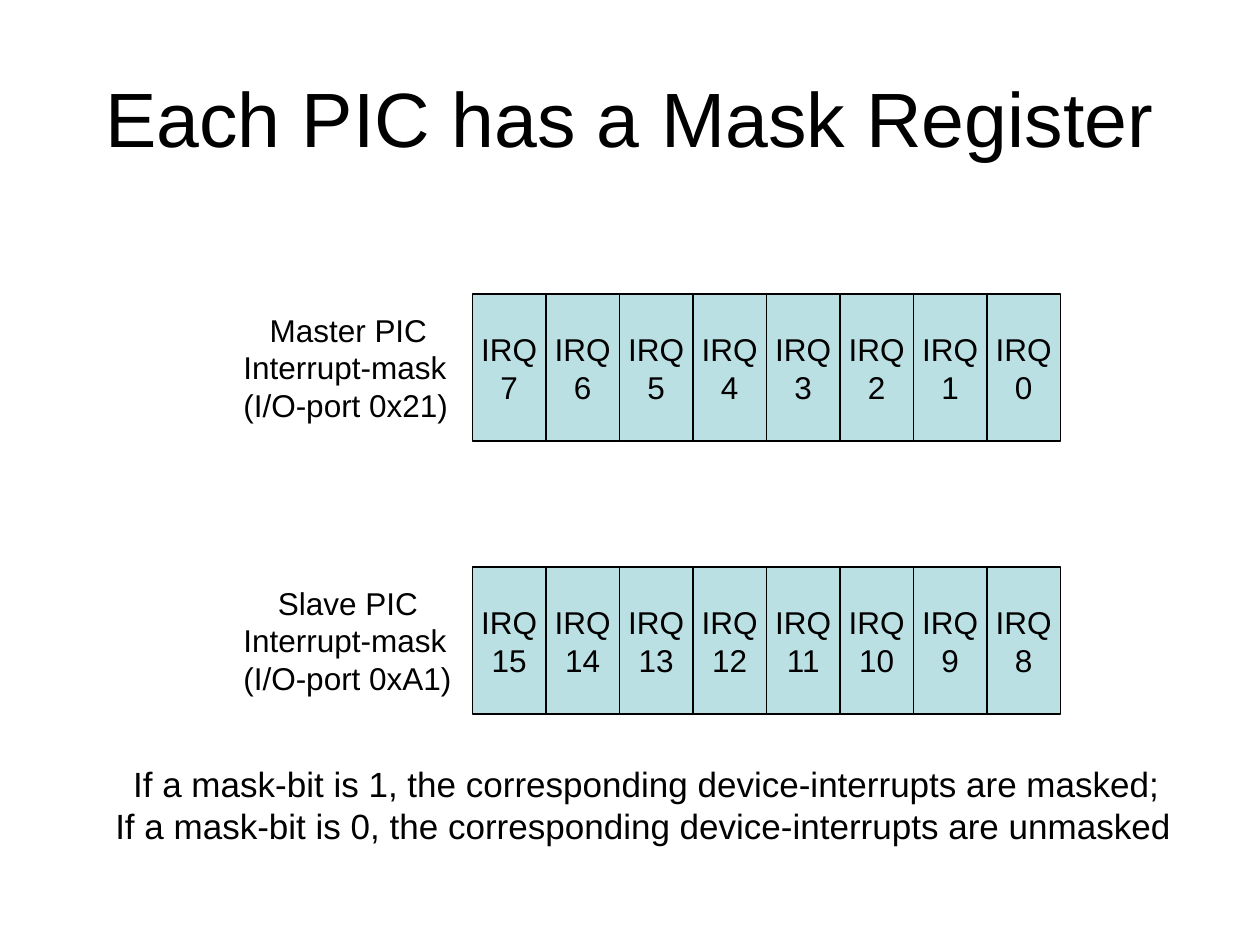
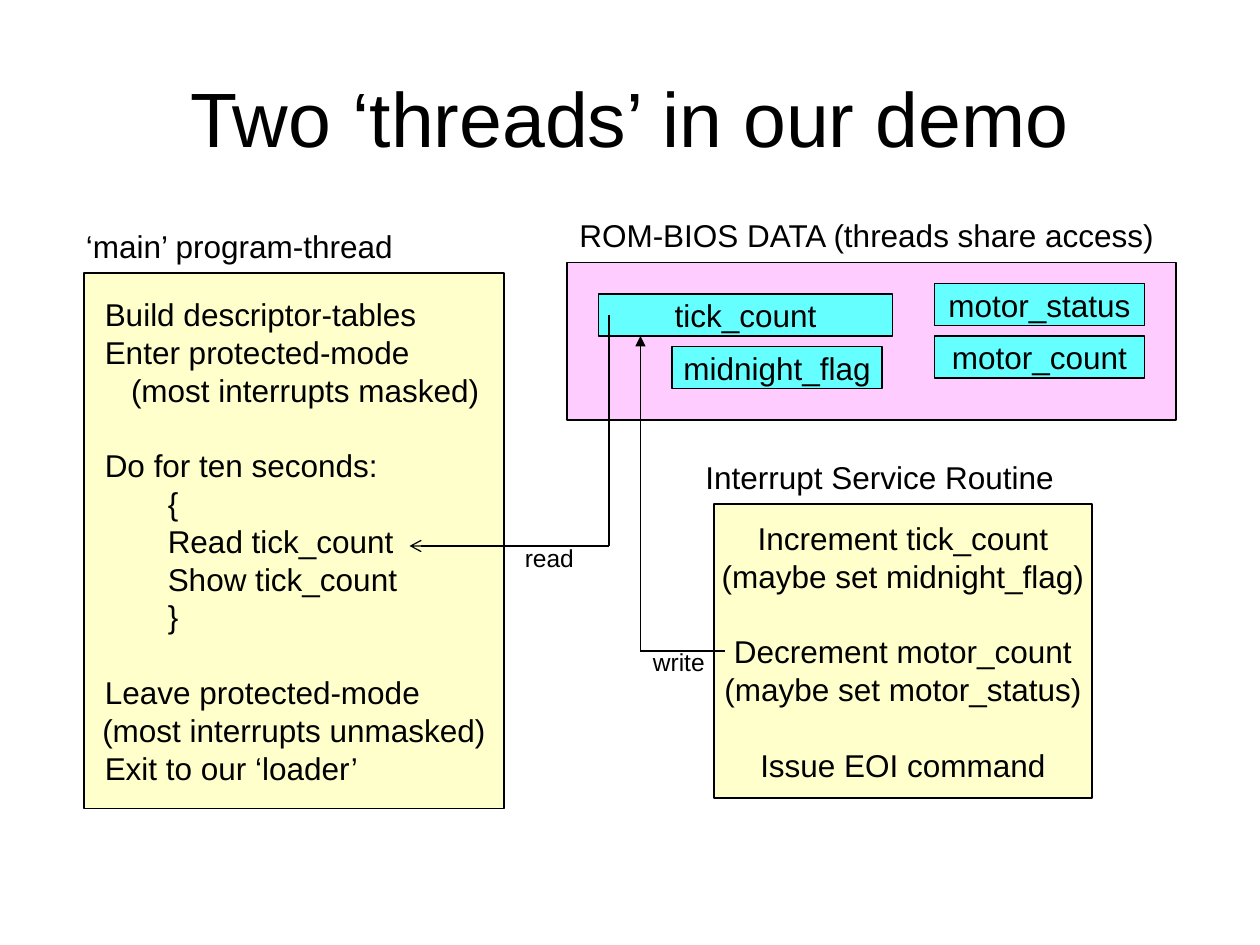
from lxml import etree
from pptx import Presentation
from pptx.dml.color import RGBColor
from pptx.enum.shapes import MSO_CONNECTOR, MSO_SHAPE
from pptx.enum.text import MSO_ANCHOR, PP_ALIGN
from pptx.oxml.ns import qn
from pptx.util import Inches, Pt

RECTANGLE = MSO_SHAPE.RECTANGLE
STRAIGHT = MSO_CONNECTOR.STRAIGHT
TOP, MIDDLE = MSO_ANCHOR.TOP, MSO_ANCHOR.MIDDLE
LEFT, CENTER = PP_ALIGN.LEFT, PP_ALIGN.CENTER

BLACK = RGBColor(0x00, 0x00, 0x00)
BIT_BLUE = RGBColor(0xBB, 0xE0, 0xE3)
CODE_YELLOW = RGBColor(0xFF, 0xFF, 0xCC)
DATA_PINK = RGBColor(0xFF, 0xCC, 0xFF)
VARIABLE_CYAN = RGBColor(0x66, 0xFF, 0xFF)

FONT = "Arial"
TITLE_SIZE, NOTE_SIZE, BODY_SIZE, CAPTION_SIZE = 44, 20, 18, 14
LINE_HEIGHT = 1.2
LINE_WIDTH = Pt(0.75)

# The slide is a grid of 120 columns and 90 rows; all boxes are given in cells.
CELLS_PER_INCH = 12
TITLE_BOX = (6, 3.6, 108, 15)
BITS = 8
BIT_COLUMNS = 7
LABEL_COLUMNS = 23
HEADING_ROWS = 5


def cells(*counts):
    return [Inches(count / CELLS_PER_INCH) for count in counts]


def write(shape, lines, size=BODY_SIZE, align=CENTER, anchor=MIDDLE, wrap=False):
    """Fill a shape with lines: text, or (text, indent in columns, gap in lines, alignment)."""
    frame = shape.text_frame
    settings = {"word_wrap": wrap, "vertical_anchor": anchor}
    for name, value in settings.items():
        setattr(frame, name, value)
    for index, line in enumerate(lines):
        text, indent, gap, line_align = (line, 0, 0, align) if isinstance(line, str) else line
        paragraph = frame.add_paragraph() if index else frame.paragraphs[0]
        paragraph.alignment = line_align
        paragraph.space_before = Pt(gap * size * LINE_HEIGHT)
        if indent:
            paragraph._p.get_or_add_pPr().set("marL", str(cells(indent)[0]))
        run = paragraph.add_run()
        run.text = text
        for name, value in {"name": FONT, "size": Pt(size)}.items():
            setattr(run.font, name, value)
        run.font.color.rgb = BLACK


def add_text(slide, box, lines, size=BODY_SIZE, align=LEFT, anchor=TOP, wrap=False):
    write(slide.shapes.add_textbox(*cells(*box)), lines, size, align, anchor, wrap)


def add_block(slide, box, fill, lines=(), wrap=False):
    block = slide.shapes.add_shape(RECTANGLE, *cells(*box))
    block.shadow.inherit = False
    block.fill.solid()
    block.fill.fore_color.rgb = fill
    block.line.color.rgb = BLACK
    block.line.width = LINE_WIDTH
    write(block, lines, wrap=wrap)


def add_path(slide, points, arrowhead_at):
    """Join the points with straight lines; an arrowhead style marks the given point."""
    target, style = arrowhead_at
    for start, end in zip(points, points[1:]):
        segment = slide.shapes.add_connector(STRAIGHT, *cells(*start, *end))
        segment.line.color.rgb = BLACK
        segment.line.width = LINE_WIDTH
        if end == target:
            etree.SubElement(segment.line._get_or_add_ln(), qn("a:tailEnd"), type=style)
        etree.SubElement(segment._element.spPr, qn("a:effectLst"))


def add_titled_slide(deck, title):
    slide = deck.slides.add_slide(deck.slide_layouts[6])
    add_text(slide, TITLE_BOX, [title], TITLE_SIZE, CENTER, MIDDLE, wrap=True)
    return slide


def mask_register(slide, box, label, highest_irq):
    left, top, _, height = box
    for bit in range(BITS):
        bit_left = left + LABEL_COLUMNS + bit * BIT_COLUMNS
        add_block(slide, (bit_left, top, BIT_COLUMNS, height), BIT_BLUE,
                  ["IRQ", str(highest_irq - bit)])
    add_text(slide, (left, top + 1, LABEL_COLUMNS, height - 2), label)


def panel(slide, box, fill, heading, heading_shift, heading_columns, lines=(), wrap=False):
    """Draw a filled box with a heading above it."""
    left, top, _, _ = box
    add_block(slide, box, fill, lines, wrap)
    add_text(slide, (left + heading_shift, top - HEADING_ROWS, heading_columns, HEADING_ROWS),
             [heading])


def shared_data(slide, box):
    left, top, _, _ = box
    panel(slide, box, DATA_PINK, "ROM-BIOS DATA (threads share access)", 0, 59)
    variables = [("tick_count", 3, 3, 28), ("motor_status", 35, 2, 20),
                 ("motor_count", 35, 7, 20), ("midnight_flag", 10, 8, 20)]
    for name, column, row, columns in variables:
        add_block(slide, (left + column, top + row, columns, 4), VARIABLE_CYAN, [name])


def main_thread(slide, box):
    step, note, loop = 0.8, 3.3, 6.8
    lines = [
        ("Build descriptor-tables", step, 0, LEFT),
        ("Enter protected-mode", step, 0, LEFT),
        ("(most interrupts masked)", note, 0, LEFT),
        ("Do for ten seconds:", step, 1, LEFT),
        ("{", loop, 0, LEFT),
        ("Read tick_count", loop, 0, LEFT),
        ("Show tick_count", loop, 0, LEFT),
        ("}", loop, 0, LEFT),
        ("Leave protected-mode", step, 1, LEFT),
        ("(most interrupts unmasked)", 0, 0, CENTER),
        ("Exit to our ‘loader’", step, 0, LEFT),
    ]
    panel(slide, box, CODE_YELLOW, "‘main’ program-thread", -1, 33, lines, wrap=True)


def service_routine(slide, box):
    lines = [
        "Increment tick_count",
        "(maybe set midnight_flag)",
        ("Decrement motor_count", 0, 1, CENTER),
        "(maybe set motor_status)",
        ("Issue EOI command", 0, 1, CENTER),
    ]
    panel(slide, box, CODE_YELLOW, "Interrupt Service Routine", -2, 38, lines)


def data_access(slide):
    """Show the main thread reading and the service routine writing tick_count."""
    reader, writer_target = (39, 52), (61, 32)
    add_path(slide, [(58, 30), (58, 52), reader], (reader, "arrow"))
    add_path(slide, [(69, 62), (61, 62), writer_target], (writer_target, "triangle"))
    add_text(slide, (48.8, 51.1, 8, 4.1), ["read"], CAPTION_SIZE)
    add_text(slide, (61, 61, 8, 4.1), ["write"], CAPTION_SIZE)


def mask_register_slide(deck):
    slide = add_titled_slide(deck, "Each PIC has a Mask Register")
    registers = [("Master PIC", 2.5, "0x21", 7), ("Slave PIC", 3.3, "0xA1", 15)]
    for index, (chip, indent, port, highest_irq) in enumerate(registers):
        label = [(chip, indent, 0, LEFT), "Interrupt-mask", f"(I/O-port {port})"]
        mask_register(slide, (22, 28 + 26 * index, 79, 14), label, highest_irq)
    rules = [
        ("If a mask-bit is 1, the corresponding device-interrupts are masked;", 1.7, 0, LEFT),
        "If a mask-bit is 0, the corresponding device-interrupts are unmasked",
    ]
    add_text(slide, (9.8, 72, 106, 9.2), rules, NOTE_SIZE)


def threads_slide(deck):
    slide = add_titled_slide(deck, "Two ‘threads’ in our demo")
    main_thread(slide, (8, 26, 40, 51))
    shared_data(slide, (54, 25, 58, 15))
    service_routine(slide, (68, 48, 36, 28))
    data_access(slide)


def main():
    deck = Presentation()
    deck.slide_width, deck.slide_height = cells(120, 90)
    mask_register_slide(deck)
    threads_slide(deck)
    deck.save("out.pptx")


if __name__ == "__main__":
    main()
